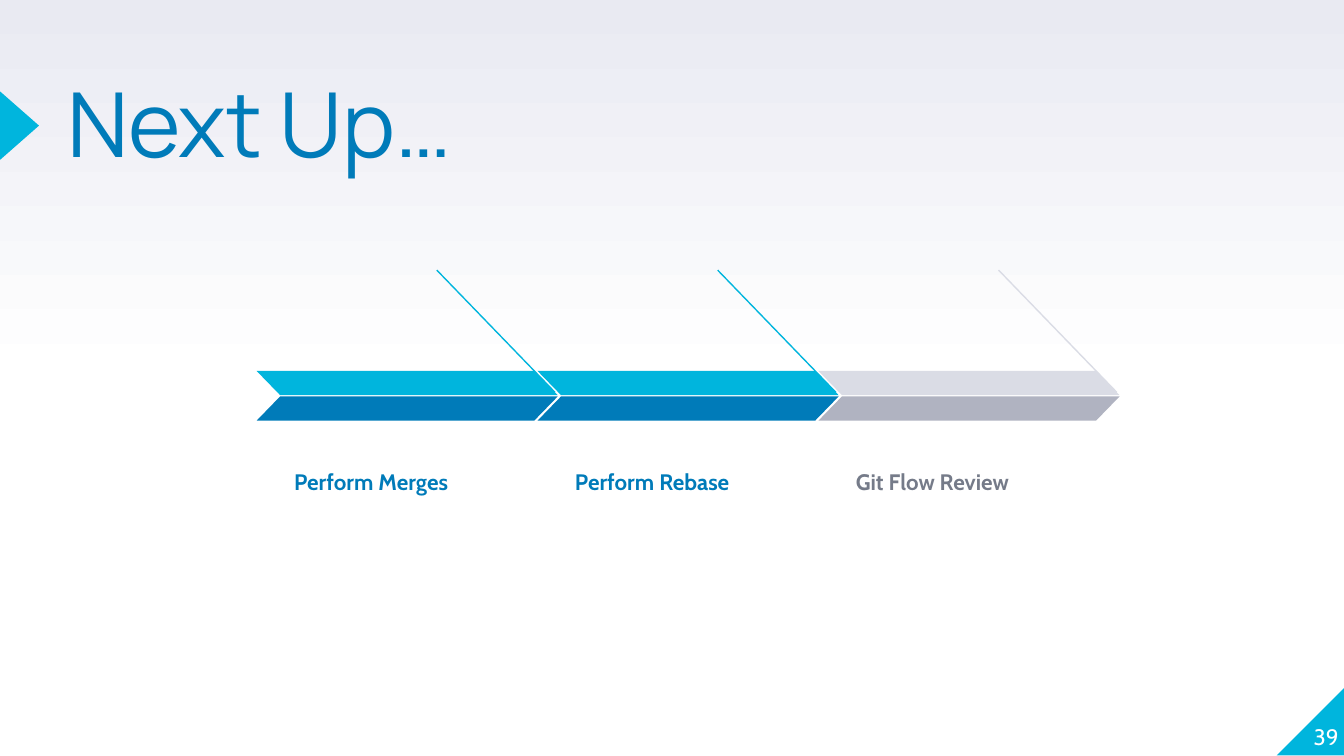
"""Build the Next Up slide: three steps along a ribbon of chevrons."""
import copy

import pptx
import pptx.dml.color
import pptx.enum.shapes
import pptx.enum.text
import pptx.util
from lxml import etree

Inches = pptx.util.Inches
Shape = pptx.enum.shapes.MSO_SHAPE
Align = pptx.enum.text.PP_ALIGN
Anchor = pptx.enum.text.MSO_ANCHOR

COLORS = {
    "white": "FFFFFF", "mist": "E9EAF2", "cyan": "00B5DD", "blue": "007BB9",
    "pale": "DADCE5", "gray": "B0B3C1", "slate": "757B89",
}
TITLE = "Next Up…"
NUMBER = "39"
STEPS = [
    ("Perform Merges", "cyan", "blue", "blue"),
    ("Perform Rebase", "cyan", "blue", "blue"),
    ("Git Flow Review", "pale", "gray", "slate"),
]
STOPS = [(0, "white"), (0.5, "white"), (1, "mist")]
FORMATS = {
    "title": {
        "font": {"name": "Manrope", "size": pptx.util.Pt(48)},
        "para": {"line_spacing": 0.8},
        "frame": {"vertical_anchor": Anchor.TOP},
        "inset": 0,
    },
    "number": {
        "font": {"name": "Cabin", "size": pptx.util.Pt(12)},
        "para": {"alignment": Align.RIGHT},
        "frame": {"vertical_anchor": Anchor.BOTTOM},
        "inset": 0,
    },
    "label": {
        "font": {"name": "Cabin", "size": pptx.util.Pt(12), "bold": True},
        "para": {"line_spacing": 1.15},
        "frame": {"vertical_anchor": Anchor.BOTTOM},
        "inset": 0.1,
    },
}
WIDTH = 10
HEIGHT = WIDTH * 9 / 16
START, PITCH = 1.91, 2.09
BAND_TOP, BAND_GAP = 2.76, 0.19


def paint(name):
    return pptx.dml.color.RGBColor.from_string(COLORS[name])


def apply(target, values):
    for name, value in values.items():
        setattr(target, name, value)


def add_text(shapes, text, box, style, color):
    form = FORMATS[style]
    frame = shapes.add_textbox(*map(Inches, box)).text_frame
    sides = ("left", "top", "right", "bottom")
    apply(frame, {f"margin_{side}": Inches(form["inset"]) for side in sides})
    apply(frame, {"word_wrap": True, **form["frame"]})
    para = frame.paragraphs[0]
    apply(para, form["para"])
    run = para.add_run()
    run.text = text
    apply(run.font, form["font"])
    run.font.color.rgb = paint(color)


def add_block(shapes, kind, box, color, flip=False, turn=0, adjust=None):
    shape = shapes.add_shape(kind, *map(Inches, box))
    shape.rotation = turn
    shape.shadow.inherit = False
    shape.fill.solid()
    shape.fill.fore_color.rgb = paint(color)
    shape.line.fill.background()
    if adjust is not None:
        shape.adjustments[0] = adjust
    if flip:
        shape._element.spPr.xfrm.set("flipH", "1")


def add_line(shapes, ends, color):
    kind = pptx.enum.shapes.MSO_CONNECTOR.STRAIGHT
    line = shapes.add_connector(kind, *map(Inches, ends))
    line.line.color.rgb = paint(color)
    line.line.width = pptx.util.Pt(0.75)
    etree.SubElement(line._element.spPr, pptx.oxml.ns.qn("a:effectLst"))


def add_step(slide, index, step):
    text, upper, lower, ink = step
    left = START + index * PITCH
    shapes = slide.shapes.add_group_shape().shapes
    add_text(shapes, text, (left + 0.18, 3.23, 1.84, 0.55), "label", ink)
    add_line(shapes, (left + 1.34, 2.01, left + 2.22, 2.92), upper)
    for row, color in enumerate((upper, lower)):
        box = (left, BAND_TOP + row * BAND_GAP, 2.24, 0.18)
        add_block(shapes, Shape.PARALLELOGRAM, box, color, flip=row == 0, adjust=0.97)


def fill_back(slide):
    fill = slide.background.fill
    fill.gradient()
    fill.gradient_angle = 90
    stops = slide._element.xpath(".//p:bg//a:gsLst")[0]
    stops.append(copy.deepcopy(stops[0]))
    for stop, (place, color) in zip(fill.gradient_stops, STOPS):
        stop.position = place
        stop.color.rgb = paint(color)


def main():
    deck = pptx.Presentation()
    apply(deck, {"slide_width": Inches(WIDTH), "slide_height": Inches(HEIGHT)})
    slide = deck.slides.add_slide(deck.slide_layouts[6])
    shapes = slide.shapes
    fill_back(slide)
    add_block(shapes, Shape.RIGHT_TRIANGLE, (9.5, 5.11, 0.51, 0.51), "cyan", flip=True)
    add_block(shapes, Shape.ISOSCELES_TRIANGLE, (-0.11, 0.79, 0.51, 0.29), "cyan", turn=90)
    add_text(shapes, TITLE, (0.5, 0.66, 6.17, 1.18), "title", "blue")
    add_text(shapes, NUMBER, (9.46, 5.07, 0.5, 0.51), "number", "white")
    for index, step in enumerate(STEPS):
        add_step(slide, index, step)
    deck.save("out.pptx")


if __name__ == "__main__":
    main()
